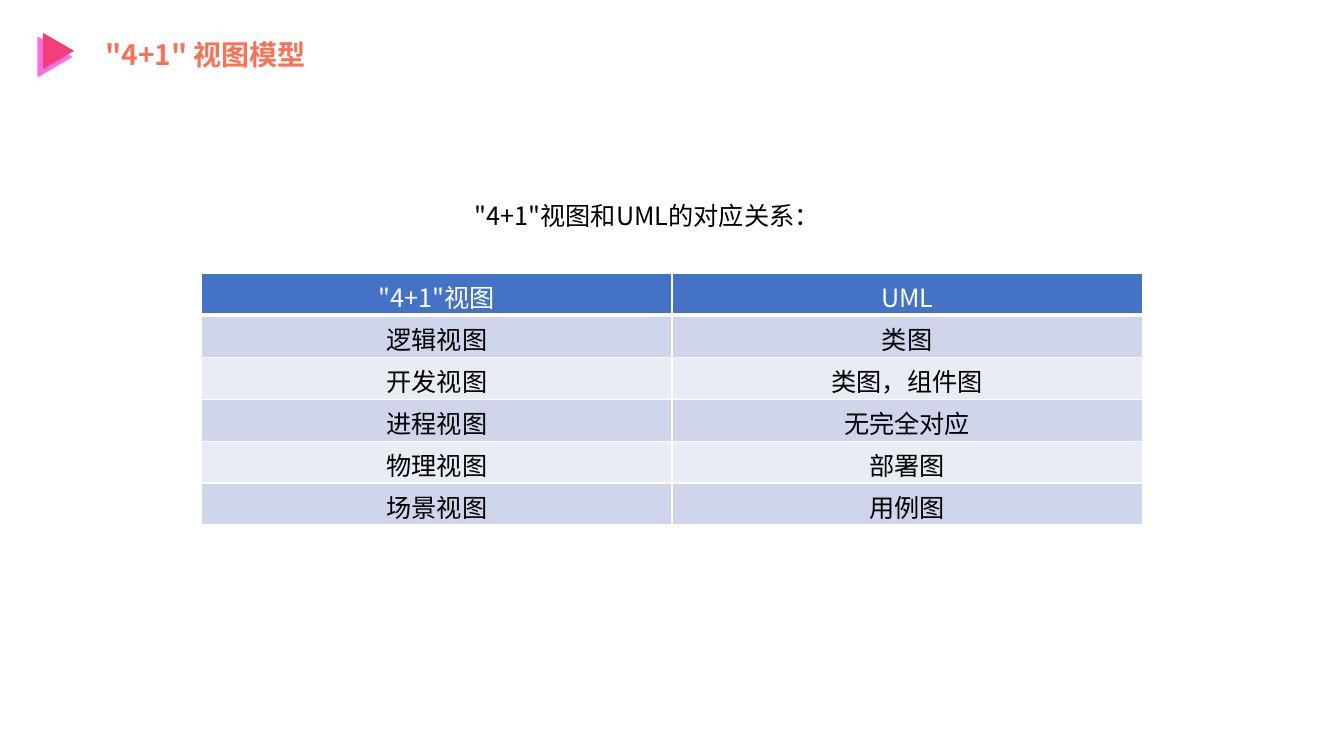
from lxml import etree
from pptx import Presentation, util as u
from pptx.dml.color import RGBColor
from pptx.enum import shapes, text
from pptx.oxml.ns import qn

COLORS = {
    "title": "F77258", "text": "000000", "white": "FFFFFF",
    "header": "4472C4", "band_dark": "CFD5EA", "band_light": "E9EBF5",
    "pink": "FF6CE4", "red": "F04077",
}
FONT = "Noto Sans CJK SC"
LEFT, CENTER = text.PP_ALIGN.LEFT, text.PP_ALIGN.CENTER
TOP, MIDDLE = text.MSO_ANCHOR.TOP, text.MSO_ANCHOR.MIDDLE


def rgb(name):
    return RGBColor.from_string(COLORS[name])


class Deck:
    def __init__(self):
        self.prs = Presentation()
        self.prs.slide_width, self.prs.slide_height = u.Inches(13.33), u.Inches(7.5)
        self.s = self.prs.slides.add_slide(self.prs.slide_layouts[5])

    def add_words(self, tf, words, size, color, align, bold=False):
        p = tf.paragraphs[0]
        p.alignment = align
        r = p.add_run()
        r.text = words
        r.font.size, r.font.bold = u.Pt(size), bold
        r.font.color.rgb = rgb(color)
        r.font.name = FONT
        ea = etree.Element(qn("a:ea"), typeface=FONT)
        r.font._element.find(qn("a:latin")).addnext(ea)

    def frame(self, sp, anchor):
        tf = sp.text_frame
        tf.word_wrap = True
        tf.auto_size = text.MSO_AUTO_SIZE.SHAPE_TO_FIT_TEXT
        tf.vertical_anchor = anchor
        return tf

    def title(self, words, x, y, w, h):
        sp = self.s.shapes.title
        sp.left, sp.top, sp.width, sp.height = map(u.Inches, (x, y, w, h))
        self.add_words(self.frame(sp, TOP), words, 20, "title", CENTER, True)

    def label(self, words, x, y, w, h):
        sp = self.s.shapes.add_textbox(*map(u.Inches, (x, y, w, h)))
        self.add_words(self.frame(sp, MIDDLE), words, 18, "text", LEFT)

    def play_mark(self, triangles):
        group = self.s.shapes.add_group_shape()
        for color, *box in triangles:
            sp = group.shapes.add_shape(
                shapes.MSO_SHAPE.ISOSCELES_TRIANGLE, *map(u.Inches, box))
            sp.rotation = 90
            sp.shadow.inherit = False
            sp.fill.solid()
            sp.fill.fore_color.rgb = rgb(color)
            sp.line.fill.background()

    def borders(self, cell, bottom):
        tcPr = cell._tc.get_or_add_tcPr()
        widths = {"lnL": 1, "lnR": 1, "lnT": 1, "lnB": bottom}
        for i, (tag, pt) in enumerate(widths.items()):
            ln = etree.Element(qn("a:" + tag), w=str(u.Pt(pt)))
            fill = etree.SubElement(ln, qn("a:solidFill"))
            etree.SubElement(fill, qn("a:srgbClr"), val=COLORS["white"])
            tcPr.insert(i, ln)

    def table(self, rows, x, y, w, h):
        sp = self.s.shapes.add_table(
            len(rows), len(rows[0]), *map(u.Inches, (x, y, w, h)))
        for i, row in enumerate(rows):
            head = i == 0
            band = "header" if head else "band_dark" if i % 2 else "band_light"
            for j, words in enumerate(row):
                cell = sp.table.cell(i, j)
                cell.fill.solid()
                cell.fill.fore_color.rgb = rgb(band)
                self.borders(cell, 3 if head else 1)
                self.add_words(cell.text_frame, words, 18,
                               "white" if head else "text", CENTER)


def main():
    d = Deck()
    # Heading with its play mark
    d.title('"4+1" 视图模型', 0.58, 0.32, 2.92, 0.44)
    d.play_mark([("pink", 0.34, 0.39, 0.41, 0.35),
                 ("red", 0.4, 0.35, 0.36, 0.31)])
    # Views and their UML diagrams
    d.label('"4+1"视图和UML的对应关系：', 4.61, 1.94, 6.55, 0.4)
    d.table([
        ('"4+1"视图', "UML"),
        ("逻辑视图", "类图"),
        ("开发视图", "类图，组件图"),
        ("进程视图", "无完全对应"),
        ("物理视图", "部署图"),
        ("场景视图", "用例图"),
    ], 2, 2.71, 9.33, 2.5)
    d.prs.save("out.pptx")


if __name__ == "__main__":
    main()
